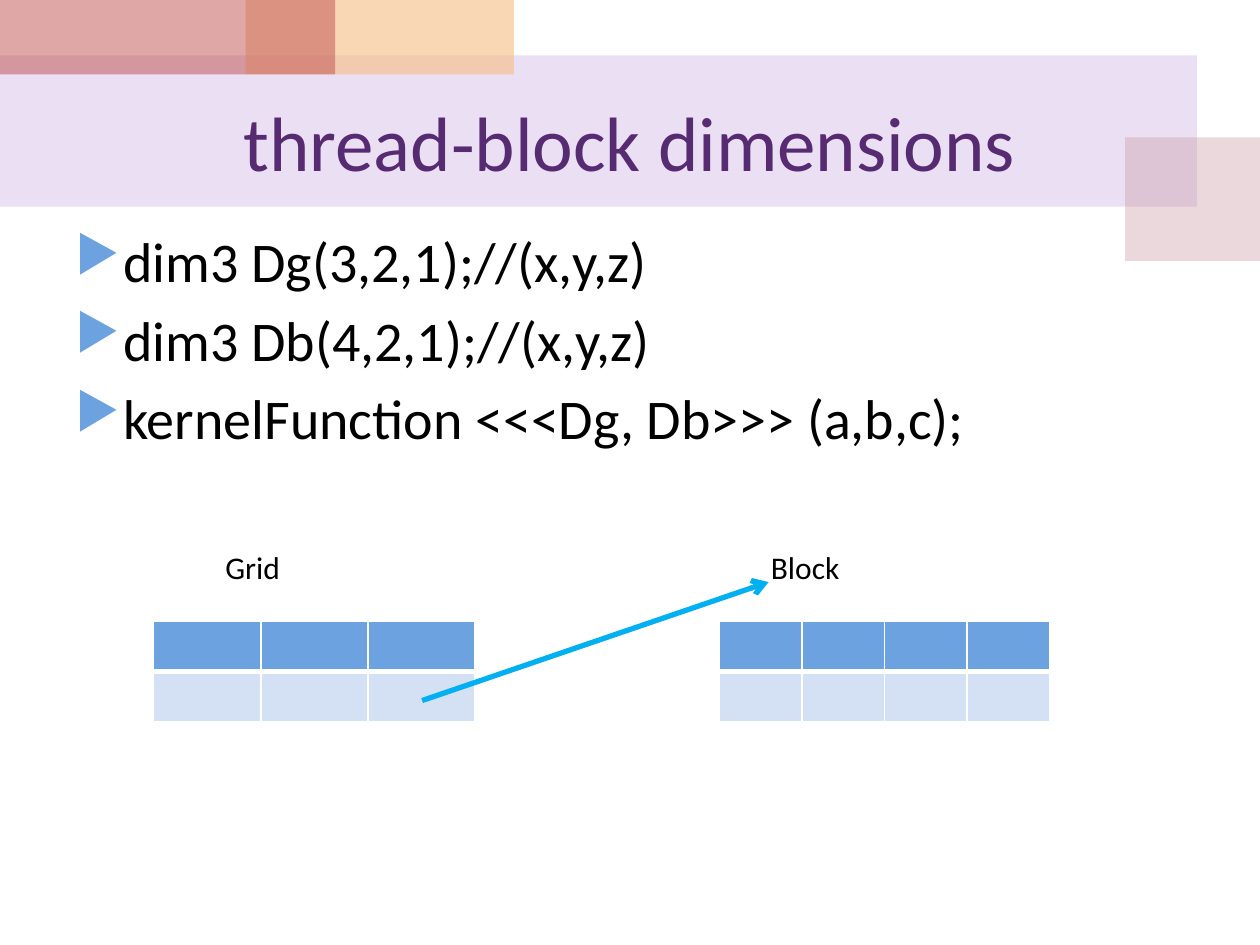
from lxml.etree import SubElement
from pptx import Presentation
from pptx.dml.color import RGBColor
from pptx.enum.shapes import MSO_CONNECTOR as CONN, MSO_SHAPE as SHAPE
from pptx.enum.text import MSO_ANCHOR as ANCHOR, PP_ALIGN as ALIGN
from pptx.oxml.ns import qn
from pptx.util import Inches, Pt


def rgb(value):
    return RGBColor.from_string(value)


def add_xml(parent, tag, **attrs):
    return SubElement(parent, qn(tag), **attrs)


class SlideBuilder:
    FONT = "Calibri"
    BLACK, WHITE, PURPLE = "000000", "FFFFFF", "562B71"
    BLUE, PALE_BLUE, CYAN = "6BA2DF", "D4E0F3", "00B0F0"

    def __init__(self, prs):
        self.s = prs.slides.add_slide(prs.slide_layouts[5])

    def run(self, p, text, size, color):
        r = p.add_run()
        r.text = text
        r.font.name = self.FONT
        r.font.size = Pt(size)
        r.font.color.rgb = rgb(color)

    def band(self, x, y, w, h, color, opacity):
        sp = self.s.shapes.add_shape(
            SHAPE.RECTANGLE, Inches(x), Inches(y), Inches(w), Inches(h))
        sp.shadow.inherit = False
        sp.fill.solid()
        sp.fill.fore_color.rgb = rgb(color)
        sp.line.fill.background()
        clr = sp._element.spPr.find(qn("a:solidFill"))[0]
        add_xml(clr, "a:alpha", val=str(opacity * 1000))

    def title(self, text, x, y, w, h):
        sp = self.s.shapes.title
        sp.left, sp.top = Inches(x), Inches(y)
        sp.width, sp.height = Inches(w), Inches(h)
        tf = sp.text_frame
        tf.vertical_anchor = ANCHOR.MIDDLE
        p = tf.paragraphs[0]
        p.alignment = ALIGN.CENTER
        self.run(p, text, 44, self.PURPLE)
        # Bring the title in front of the bands
        self.s.shapes._spTree.append(sp._element)

    def text_box(self, x, y, w, h):
        sp = self.s.shapes.add_textbox(Inches(x), Inches(y), Inches(w), Inches(h))
        sp.text_frame.word_wrap = True
        return sp.text_frame

    def bullets(self, lines, x, y, w, h):
        tf = self.text_box(x, y, w, h)
        for i, line in enumerate(lines):
            p = tf.add_paragraph() if i else tf.paragraphs[0]
            if i:
                p.space_before = Pt(6.4)
            pPr = p._p.get_or_add_pPr()
            pPr.set("marL", str(Inches(0.38)))
            pPr.set("indent", str(-Inches(0.38)))
            add_xml(add_xml(pPr, "a:buClr"), "a:srgbClr", val=self.BLUE)
            add_xml(pPr, "a:buSzPct", val="90000")
            add_xml(pPr, "a:buChar", char="▶")
            self.run(p, line, 32, self.BLACK)

    def label(self, text, x, y):
        tf = self.text_box(x, y, 1.5, 0.4)
        self.run(tf.paragraphs[0], text, 18, self.BLACK)

    def cell(self, cell, color, bottom):
        tcPr = cell._tc.get_or_add_tcPr()
        for side, width in zip("LRTB", (1, 1, 1, bottom)):
            ln = add_xml(tcPr, f"a:ln{side}", w=str(Pt(width)))
            add_xml(add_xml(ln, "a:solidFill"), "a:srgbClr", val=self.WHITE)
        cell.fill.solid()
        cell.fill.fore_color.rgb = rgb(color)

    def table(self, x, y, cols, col_width, row_height=0.4):
        row_styles = ((self.BLUE, 3), (self.PALE_BLUE, 1))
        rows = len(row_styles)
        table = self.s.shapes.add_table(
            rows, cols, Inches(x), Inches(y),
            Inches(cols * col_width), Inches(rows * row_height)).table
        for col in table.columns:
            col.width = Inches(col_width)
        for row, (color, bottom) in zip(table.rows, row_styles):
            row.height = Inches(row_height)
            for cell in row.cells:
                self.cell(cell, color, bottom)
        # Both rows share the thick rule between them
        for cell in table.rows[1].cells:
            cell._tc.tcPr.find(qn("a:lnT")).set("w", str(Pt(3)))

    def arrow(self, x1, y1, x2, y2):
        line = self.s.shapes.add_connector(
            CONN.STRAIGHT, Inches(x1), Inches(y1), Inches(x2), Inches(y2))
        line.line.color.rgb = rgb(self.CYAN)
        line.line.width = Pt(3)
        add_xml(line.line._get_or_add_ln(), "a:tailEnd", type="arrow")
        add_xml(line._element.spPr, "a:effectLst")


def main():
    prs = Presentation()
    prs.slide_width, prs.slide_height = Inches(10), Inches(7.5)
    b = SlideBuilder(prs)

    # Header bands
    b.band(0, 0.44, 9.5, 1.2, "BF98D8", 30)
    b.band(8.93, 1.09, 1.07, 0.98, "CC9EAC", 40)
    b.band(1.95, 0, 2.13, 0.59, "F5BC83", 60)
    b.band(0, 0, 2.66, 0.59, "C0504D", 50)

    # Title and code lines
    b.title("thread-block dimensions", 0.5, 0.59, 9, 1.05)
    b.bullets(["dim3 Dg(3,2,1);//(x,y,z)",
               "dim3 Db(4,2,1);//(x,y,z)",
               "kernelFunction <<<Dg, Db>>> (a,b,c);"], 0.5, 1.75, 9, 4.95)

    # Block and grid tables
    b.table(5.71, 4.93, cols=4, col_width=0.655)
    b.table(1.22, 4.93, cols=3, col_width=0.85)
    b.label("Grid", 1.69, 4.3)
    b.label("Block", 6.02, 4.3)

    # One grid cell expands to a block
    b.arrow(3.35, 5.56, 6.1, 4.62)

    prs.save("out.pptx")


if __name__ == "__main__":
    main()
